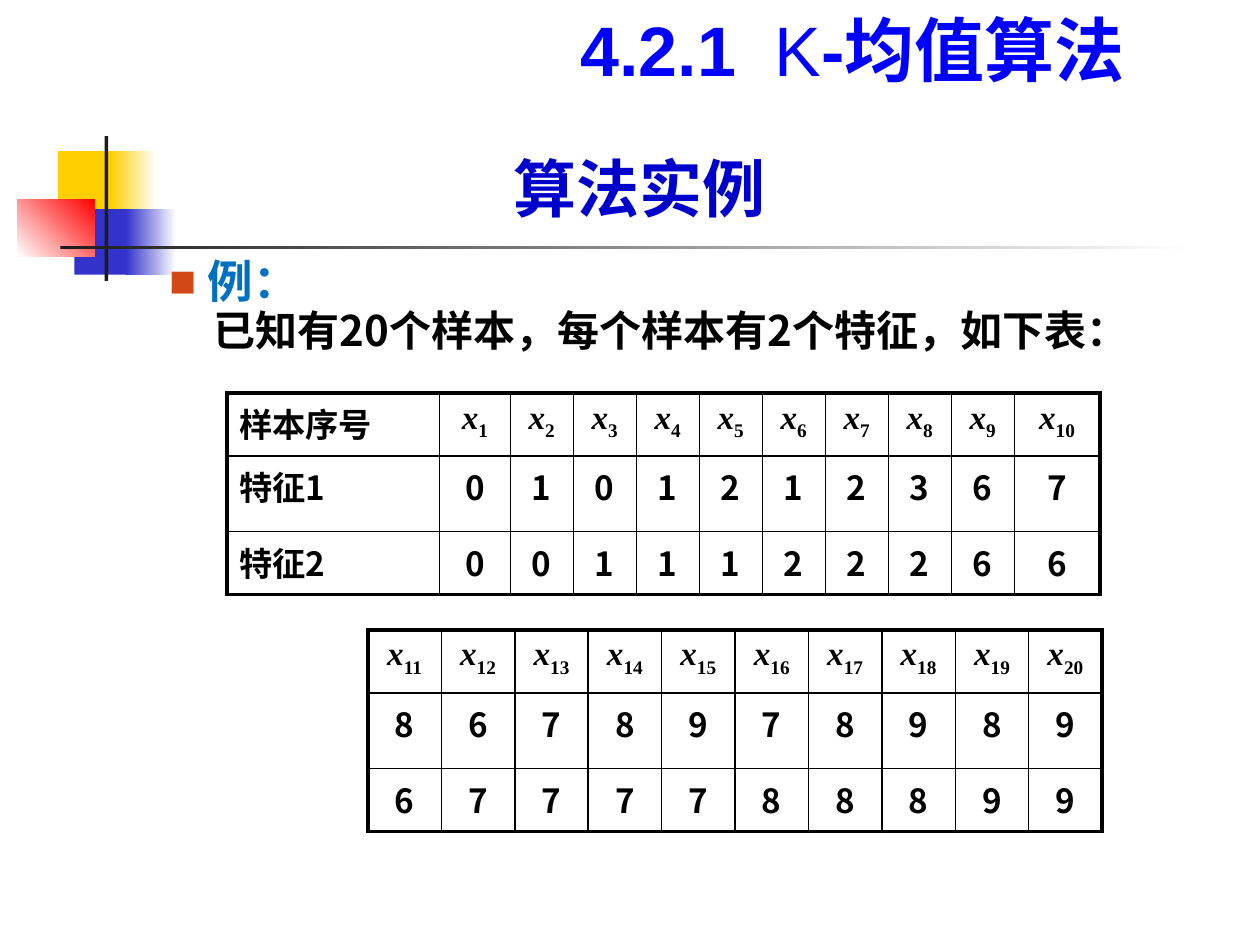
"""Build the K-means example slide with its two sample tables."""
import lxml.etree
import pptx
import pptx.dml.color
import pptx.enum.shapes
import pptx.enum.text
import pptx.oxml.ns
import pptx.util
from pptx.util import Inches

THEME = {
    "yellow": "FFCF01", "blue": "3333CC", "red": "FF0000", "dark": "1C1C1C",
    "white": "FFFFFF", "ink": "000000", "title": "0000CC", "chapter": "0000FF",
    "lead": "0070C0", "bullet": "D34817",
    "title_size": 36, "chapter_size": 40, "lead_size": 26, "body_size": 24, "cell_size": 19,
    "cjk": "Noto Sans CJK SC", "serif": "Times New Roman", "sans": "Arial",
}
RGB = pptx.dml.color.RGBColor.from_string
ALIGN = pptx.enum.text.PP_ALIGN
ANCHOR = pptx.enum.text.MSO_ANCHOR
qn = pptx.oxml.ns.qn


def add_span(para, text, size, color, font="cjk", bold=True, italic=False):
    span = para.add_run()
    span.text = text
    span.font.size = pptx.util.Pt(THEME[size])
    span.font.color.rgb = RGB(THEME[color])
    span.font.name = THEME[font]
    span.font.bold = bold
    span.font.italic = italic
    properties = span.font._element
    lxml.etree.SubElement(properties, qn("a:ea"), typeface=THEME["cjk"])
    return properties


def add_border(cell, side, width):
    line = lxml.etree.SubElement(
        cell._tc.get_or_add_tcPr(), qn(f"a:ln{side}"), w=str(pptx.util.Pt(width)))
    fill = lxml.etree.SubElement(line, qn("a:solidFill"))
    lxml.etree.SubElement(fill, qn("a:srgbClr"), val=THEME["ink"])


deck = pptx.Presentation()
deck.slide_width, deck.slide_height = Inches(10), Inches(7.5)
page = deck.slides.add_slide(deck.slide_layouts[5])

ornaments = [
    (0.46, 1.2, 0.48, 0.52, ["yellow"], 0),
    (0.88, 1.2, 0.36, 0.52, ["yellow", "white"], 0),
    (0.59, 1.66, 0.46, 0.52, ["blue"], 0),
    (1, 1.66, 0.4, 0.52, ["blue", "white"], 0),
    (0.14, 1.58, 0.61, 0.46, ["white", "red"], 45),
    (0.83, 1.08, 0.03, 1.15, ["dark"], 0),
    (0.48, 1.95, 9, 0.03, ["dark", "white"], 0),
]
for left, top, width, height, colors, angle in ornaments:
    block = page.shapes.add_shape(
        pptx.enum.shapes.MSO_SHAPE.RECTANGLE,
        Inches(left), Inches(top), Inches(width), Inches(height))
    block.shadow.inherit = False
    block.line.fill.background()
    if len(colors) == 1:
        block.fill.solid()
        block.fill.fore_color.rgb = RGB(THEME[colors[0]])
    else:
        block.fill.gradient()
        block.fill.gradient_angle = angle
        for stop, color in zip(block.fill.gradient_stops, colors):
            stop.color.rgb = RGB(THEME[color])

title = page.shapes.title
title.left, title.top = Inches(1.17), Inches(1.17)
title.width, title.height = Inches(7.81), Inches(0.67)
title.text_frame.auto_size = pptx.enum.text.MSO_AUTO_SIZE.NONE
title.text_frame.vertical_anchor = ANCHOR.BOTTOM
para = title.text_frame.paragraphs[0]
para.alignment = ALIGN.CENTER
add_span(para, "算法实例", "title_size", "title", "serif")

body = page.shapes.add_textbox(Inches(1.25), Inches(2.01), Inches(8.4), Inches(1.1))
body.text_frame.word_wrap = True
lead = body.text_frame.paragraphs[0]
detail = body.text_frame.add_paragraph()
for para, margin, indent in [(lead, 0.3, -0.3), (detail, 0.6, -0.25)]:
    para.line_spacing = 0.9
    properties = para._p.get_or_add_pPr()
    properties.set("marL", str(Inches(margin)))
    properties.set("indent", str(Inches(indent)))
detail.level = 1
detail.space_before = pptx.util.Pt(1)
properties = lead._p.get_or_add_pPr()
bullet_color = lxml.etree.SubElement(properties, qn("a:buClr"))
lxml.etree.SubElement(bullet_color, qn("a:srgbClr"), val=THEME["bullet"])
lxml.etree.SubElement(properties, qn("a:buSzPct"), val="60000")
lxml.etree.SubElement(properties, qn("a:buFont"), typeface=THEME["cjk"])
lxml.etree.SubElement(properties, qn("a:buChar"), char="■")
add_span(lead, "例：", "lead_size", "lead")
add_span(detail, "已知有20个样本，每个样本有2个特征，如下表：", "body_size", "ink")

tables = [
    (1.8, 3.12, 6.93, [1.69, 0.56] + [0.5] * 8 + [0.68], 1,
     ["样本序号", "特征1", "特征2"], ["0101212367", "0011122266"]),
    (2.92, 5, 5.83, [], 11, [], ["8678978989", "6777788899"]),
]
for left, top, width, column_widths, first, labels, features in tables:
    rows = [[f"x{first + offset}" for offset in range(10)]] + [list(row) for row in features]
    if labels:
        rows = [[label] + row for label, row in zip(labels, rows)]
    last_column = len(rows[0]) - 1
    table = page.shapes.add_table(
        3, last_column + 1, Inches(left), Inches(top), Inches(width), Inches(1.6)).table
    table.first_row = table.horz_banding = False
    for column, column_width in zip(table.columns, column_widths):
        column.width = Inches(column_width)
    for row, row_height in zip(table.rows, [0.5, 0.6, 0.5]):
        row.height = Inches(row_height)
    for row_index, row in enumerate(rows):
        for column_index, text in enumerate(row):
            cell = table.cell(row_index, column_index)
            outer = {"L": column_index == 0, "R": column_index == last_column,
                     "T": row_index == 0, "B": row_index == 2}
            for side, is_outer in outer.items():
                add_border(cell, side, 2.25 if is_outer else 1)
            cell.fill.background()
            para = cell.text_frame.paragraphs[0]
            is_label = labels and column_index == 0
            para.alignment = ALIGN.LEFT if is_label else ALIGN.CENTER
            if text.startswith("x"):
                add_span(para, "x", "cell_size", "ink", "serif", italic=True)
                add_span(para, text[1:], "cell_size", "ink", "serif").set("baseline", "-25000")
            else:
                add_span(para, text, "cell_size", "ink")

chapter = page.shapes.add_textbox(Inches(3.53), Inches(0), Inches(6.47), Inches(0.77))
chapter.text_frame.word_wrap = True
chapter.text_frame.vertical_anchor = ANCHOR.MIDDLE
para = chapter.text_frame.paragraphs[0]
para.alignment = ALIGN.CENTER
add_span(para, "4.2.1", "chapter_size", "chapter", "sans")
add_span(para, " ", "chapter_size", "chapter", "sans").set("spc", "1100")
add_span(para, "K", "chapter_size", "chapter", "sans", bold=False)
add_span(para, "-均值算法", "chapter_size", "chapter", "sans")

deck.save("out.pptx")
